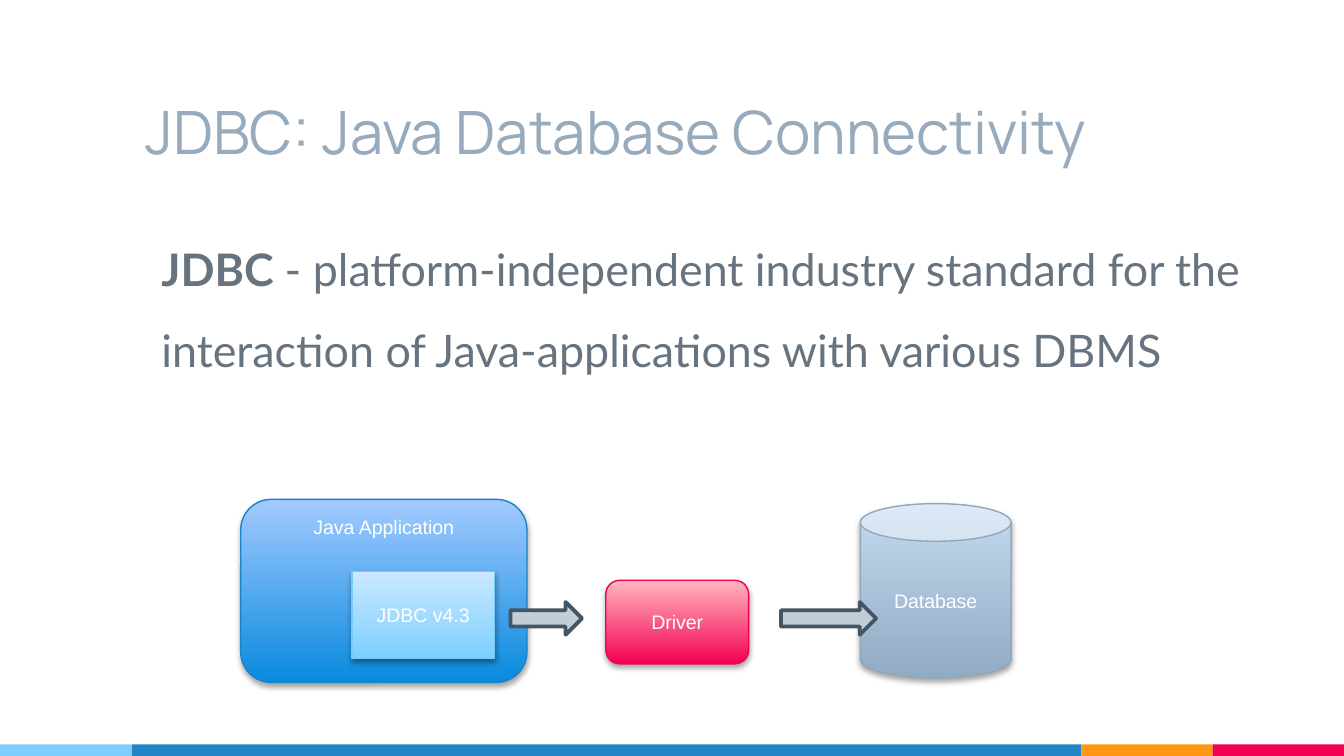
from lxml.etree import SubElement
from pptx import Presentation
from pptx.dml.color import RGBColor
from pptx.enum.shapes import MSO_SHAPE
from pptx.enum.text import MSO_ANCHOR, MSO_AUTO_SIZE, PP_ALIGN
from pptx.oxml.ns import qn
from pptx.util import Cm, Pt

COLORS = {
    "title": "97ABBC", "body": "677480", "label": "FFFFFF",
    "sky": "7ECEFD", "blue": "2185C5", "orange": "FF9715", "red": "F20253",
    "app": ("088ADE", "A3CAFF", "1C83C5"),
    "jdbc": ("7CCFFF", "CBE8FF", "78CAFB"),
    "driver": ("F40052", "FFB6BE", "EF0051"),
    "database": ("91ABC2", "C3DBF1", "93A7B9"),
    "arrow": "C1CDD7", "arrow_line": "425667",
}


def add_shape(kind, x, y, w, h):
    s = slide.shapes.add_shape(kind, Cm(x), Cm(y), Cm(w), Cm(h))
    s.shadow.inherit = False
    return s


def style_run(r, font, size, color):
    r.font.name = font
    r.font.size = Pt(size)
    r.font.color.rgb = RGBColor.from_string(color)


prs = Presentation()
prs.slide_width, prs.slide_height = Cm(25.4), Cm(14.29)
slide = prs.slides.add_slide(prs.slide_layouts[1])

x = 0
for name, w in (("sky", 2.5), ("blue", 17.94), ("orange", 2.48), ("red", 2.48)):
    s = add_shape(MSO_SHAPE.RECTANGLE, x, 14.07, w, 0.22)
    s.fill.solid()
    s.fill.fore_color.rgb = RGBColor.from_string(COLORS[name])
    s.line.fill.background()
    x += w

title, body = slide.placeholders
for sp, y, w, h, anchor in (
    (title, 1, 20.55, 2.39, MSO_ANCHOR.BOTTOM),
    (body, 3.81, 22.05, 9.86, MSO_ANCHOR.TOP),
):
    sp.left, sp.top, sp.width, sp.height = Cm(2.5), Cm(y), Cm(w), Cm(h)
    tf = sp.text_frame
    tf.word_wrap = True
    tf.auto_size = MSO_AUTO_SIZE.NONE
    tf.vertical_anchor = anchor
    tf.margin_left = tf.margin_right = tf.margin_top = tf.margin_bottom = Cm(0.25)

title.text_frame.text = "JDBC: Java Database Connectivity"
p = title.text_frame.paragraphs[0]
p.alignment = PP_ALIGN.LEFT
style_run(p.runs[0], "Manrope", 32, COLORS["title"])

p = body.text_frame.paragraphs[0]
pPr = p._p.get_or_add_pPr()
pPr.set("marL", str(Cm(0.3)))
pPr.set("indent", "0")
SubElement(pPr, qn("a:buNone"))
p.line_spacing = 1.5
p.space_before = Pt(0)
for text, bold in (
    ("JDBC ", True),
    ("- platform-independent industry standard for the interaction of "
     "Java-applications with various DBMS", False),
):
    r = p.add_run()
    r.text = text
    r.font.bold = bold
    style_run(r, "Lato", 24, COLORS["body"])

for kind, name, text, x, y, w, h, anchor in (
    (MSO_SHAPE.ROUNDED_RECTANGLE, "app", "Java Application", 4.55, 9.44, 5.41, 3.46, MSO_ANCHOR.TOP),
    (MSO_SHAPE.RECTANGLE, "jdbc", "JDBC v4.3", 6.65, 10.8, 2.7, 1.65, MSO_ANCHOR.MIDDLE),
    (MSO_SHAPE.ROUNDED_RECTANGLE, "driver", "Driver", 11.45, 10.97, 2.7, 1.58, MSO_ANCHOR.MIDDLE),
    (MSO_SHAPE.CAN, "database", "Database", 16.26, 9.52, 2.85, 3.3, MSO_ANCHOR.MIDDLE),
):
    s = add_shape(kind, x, y, w, h)
    dark, light, line = COLORS[name]
    s.fill.gradient()
    s.fill.gradient_angle = 90
    for stop, color, position in zip(s.fill.gradient_stops, (dark, light), (0, 1)):
        stop.color.rgb = RGBColor.from_string(color)
        stop.position = position
    s.line.color.rgb = RGBColor.from_string(line)
    s.line.width = Pt(0.75)
    effects = s._element.spPr.find(qn("a:effectLst"))
    shadow = SubElement(effects, qn("a:outerShdw"), blurRad=str(Pt(3.1)),
                        dist=str(Pt(1.8)), dir="5400000", rotWithShape="0")
    black = SubElement(shadow, qn("a:srgbClr"), val="000000")
    SubElement(black, qn("a:alpha"), val="35000")
    tf = s.text_frame
    tf.text = text
    tf.vertical_anchor = anchor
    p = tf.paragraphs[0]
    p.alignment = PP_ALIGN.CENTER
    style_run(p.runs[0], "Arial", 10.5, COLORS["label"])

for x, w in ((9.65, 1.35), (14.76, 1.8)):
    s = add_shape(MSO_SHAPE.RIGHT_ARROW, x, 11.38, w, 0.62)
    s.fill.solid()
    s.fill.fore_color.rgb = RGBColor.from_string(COLORS["arrow"])
    s.line.color.rgb = RGBColor.from_string(COLORS["arrow_line"])
    s.line.width = Pt(2)

prs.save("out.pptx")
